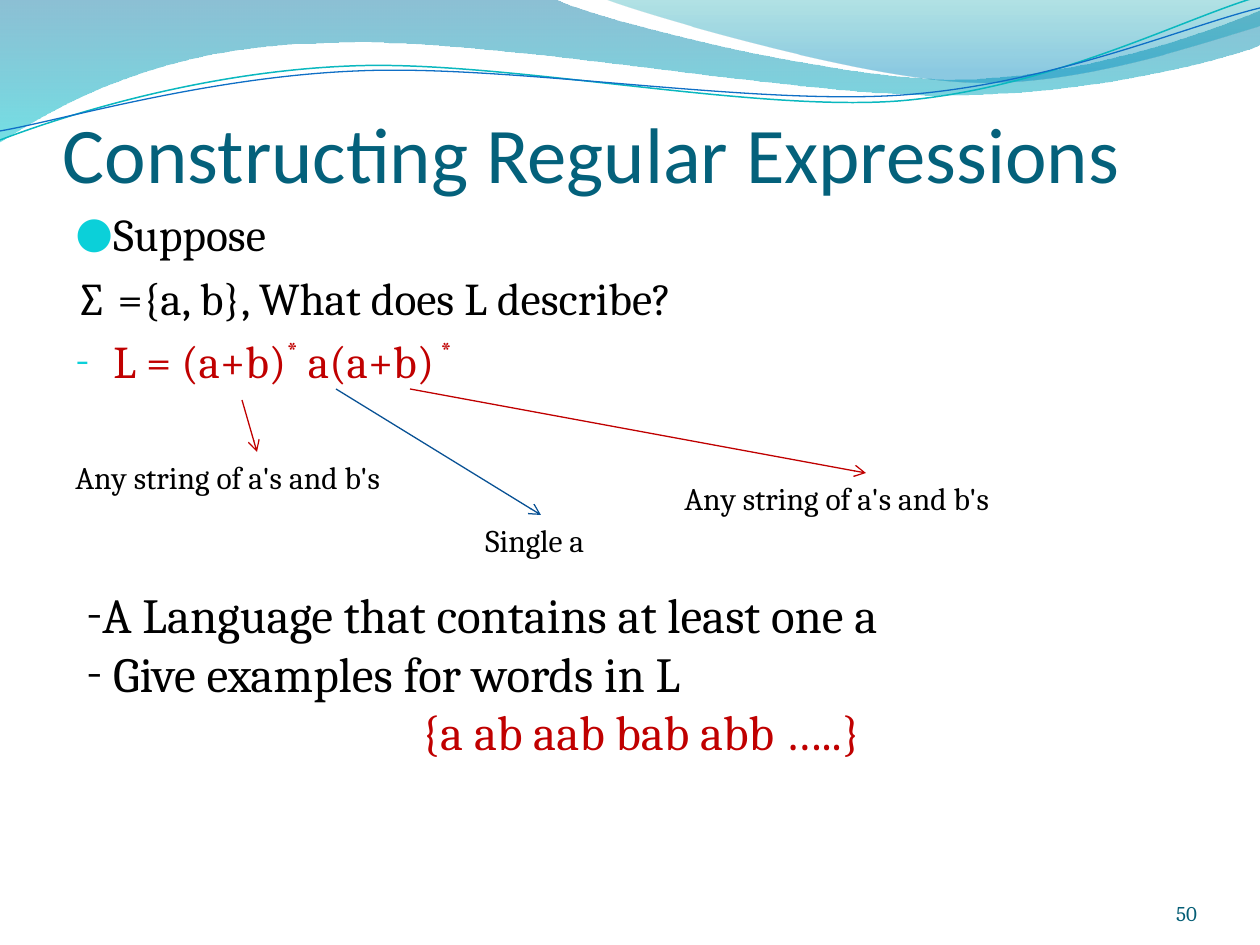
from dataclasses import dataclass

from lxml import etree
from pptx import Presentation
from pptx.dml.color import RGBColor
from pptx.enum.shapes import MSO_CONNECTOR
from pptx.enum.text import MSO_ANCHOR, PP_ALIGN
from pptx.oxml.ns import qn
from pptx.util import Pt

STRAIGHT = MSO_CONNECTOR.STRAIGHT
TOP, BOTTOM = MSO_ANCHOR.TOP, MSO_ANCHOR.BOTTOM
LEFT, CENTER, RIGHT = PP_ALIGN.LEFT, PP_ALIGN.CENTER, PP_ALIGN.RIGHT
SCALE = 914400 / 126
WIDTH, HEIGHT = 1260, 945
TOP_SIDE = 0


@dataclass(frozen=True)
class Theme:
    heading_font: str = "Calibri"
    body_font: str = "Cambria"
    heading: str = "04617B"
    ink: str = "000000"
    accent: str = "C00000"
    bullet: str = "0BD0D9"
    number: str = "045D75"
    single_arrow: str = "095295"
    teal_line: str = "0AB8BF"
    blue_line: str = "0F6FC6"
    wave: tuple = ((0, "0074A1", 45), (1, "00C6CF", 55))
    crest: tuple = ((0, "00A1A9", 30), (0.8, "008BBF", 45))
    title_size: int = 45
    body_size: int = 26
    label_size: int = 18
    answer_size: int = 28
    number_size: int = 12


THEME = Theme()


def px(value):
    return round(value * SCALE)


def rgb(value):
    return RGBColor.from_string(value)


def add_bullet(paragraph, char, color=None, percent=None):
    properties = paragraph._p.get_or_add_pPr()
    if color:
        holder = etree.SubElement(properties, qn("a:buClr"))
        etree.SubElement(holder, qn("a:srgbClr"), val=color)
    if percent:
        etree.SubElement(properties, qn("a:buSzPct"), val=str(percent * 1000))
    etree.SubElement(properties, qn("a:buFont"), typeface=THEME.body_font)
    etree.SubElement(properties, qn("a:buChar"), char=char)


def write(paragraph, text, size, color=THEME.ink, font=THEME.body_font, raised=0):
    run = paragraph.add_run()
    run.text = text
    run.font.size = Pt(size)
    run.font.name = font
    run.font.color.rgb = rgb(color)
    if raised:
        run._r.get_or_add_rPr().set("baseline", str(raised * 1000))


def add_frame(slide, box, anchor=TOP, insets=None):
    holder = slide.shapes.add_textbox(*map(px, box))
    frame = holder.text_frame
    frame.word_wrap = True
    frame.vertical_anchor = anchor
    if insets:
        (frame.margin_left, frame.margin_top,
         frame.margin_right, frame.margin_bottom) = map(px, insets)
    return holder


def next_paragraph(frame, is_first, align=LEFT):
    paragraph = frame.paragraphs[0] if is_first else frame.add_paragraph()
    paragraph.alignment = align
    return paragraph


def bend(outline, segments):
    steps = iter(list(outline._element.iter(qn("a:lnTo"))))
    for segment in segments:
        parts = [next(steps) for _ in segment]
        if len(parts) == 3:
            curve = etree.Element(qn("a:cubicBezTo"))
            parts[0].addprevious(curve)
            for part in parts:
                curve.append(part[0])
                part.getparent().remove(part)


def add_outline(slide, origin, start, segments, closed):
    points = [start] + [point for segment in segments for point in segment]
    points = [(px(origin[0] + x), px(origin[1] + y)) for x, y in points]
    builder = slide.shapes.build_freeform(*points[0])
    builder.add_line_segments(points[1:], close=closed)
    outline = builder.convert_to_shape()
    outline.shadow.inherit = False
    bend(outline, segments)
    return outline


def add_wave_fill(slide, origin, start, segments, stops):
    wave = add_outline(slide, origin, start, segments, True)
    wave.line.fill.background()
    wave.fill.gradient()
    wave.fill.gradient_angle = 270
    for stop, (position, color, _) in zip(wave.fill.gradient_stops, stops):
        stop.position = position
        stop.color.rgb = rgb(color)
    for tint, (_, _, opacity) in zip(wave._element.spPr.iter(qn("a:srgbClr")), stops):
        etree.SubElement(tint, qn("a:alpha"), val=str(opacity * 1000))


def add_wave_line(slide, origin, start, segments, color, width):
    wave = add_outline(slide, origin, start, segments, False)
    wave.fill.background()
    wave.line.color.rgb = rgb(color)
    wave.line.width = Pt(width)


def add_waves(slide, box):
    origin = box[:2]
    add_wave_fill(slide, origin, (0, 0), [
        [(554, -1)],
        [(600, 21), (837, 79), (955, 79)], [(1074, 79), (1207, 33), (1260, 11)],
        [(1261, 45)],
        [(1239, 55), (1096, 96), (940, 95)], [(784, 95), (481, 35), (324, 43)],
        [(163, 45), (58, 105), (-1, 142)]], THEME.wave)
    add_wave_fill(slide, origin, (604, -1), [
        [(641, 14), (859, 78), (969, 82)], [(1079, 87), (1211, 40), (1260, 26)],
        [(1260, 0)]], THEME.crest)
    add_wave_line(slide, origin, (0, 140), [
        [(60, 117), (199, 72), (349, 66)], [(498, 59), (747, 112), (898, 101)],
        [(1049, 89), (1182, 19), (1257, -3)]], THEME.teal_line, 0.85)
    add_wave_line(slide, origin, (0, 131), [
        [(59, 121), (207, 77), (357, 71)], [(508, 64), (752, 106), (903, 95)],
        [(1053, 84), (1186, 26), (1260, 8)]], THEME.blue_line, 0.75)


def add_title(slide, box):
    frame = add_frame(slide, box, BOTTOM, (0, 6, 0, 0)).text_frame
    write(frame.paragraphs[0], "Constructing Regular Expressions",
          THEME.title_size, THEME.heading, THEME.heading_font)


def add_question(slide, box):
    frame = add_frame(slide, box).text_frame
    lines = [
        ("●", THEME.ink, [("Suppose", 0)]),
        (None, THEME.ink, [("∑ ={a, b}, What does L describe?", 0)]),
        ("-", THEME.accent, [("L = (a+b)", 0), ("*", 40), (" a(a+b)", 0), (" *", 40)]),
    ]
    for index, (bullet, color, pieces) in enumerate(lines):
        paragraph = next_paragraph(frame, index == 0)
        paragraph.space_before = Pt(THEME.body_size * 0.2)
        properties = paragraph._p.get_or_add_pPr()
        properties.set("marL", str(px(38)))
        properties.set("indent", str(px(-38)))
        if bullet:
            add_bullet(paragraph, bullet, THEME.bullet, 95)
        for text, raised in pieces:
            write(paragraph, text, THEME.body_size, color, raised=raised)


def add_arrow(slide, start, label, color):
    arrow = slide.shapes.add_connector(STRAIGHT, *map(px, start), *map(px, start))
    arrow.end_connect(label, TOP_SIDE)
    arrow.line.color.rgb = rgb(color)
    arrow.line.width = Pt(0.75)
    etree.SubElement(arrow.line._get_or_add_ln(), qn("a:tailEnd"), type="arrow")
    etree.SubElement(arrow._element.spPr, qn("a:effectLst"))


def add_explanations(slide, box):
    left, top = box[:2]
    repeated = "Any string of a's and b's"
    for text, x, y, width, start_x, start_y, color in (
            (repeated, 0, 63, 388, 179, 11, THEME.accent),
            ("Single a", 410, 126, 136, 273, 0, THEME.single_arrow),
            (repeated, 609, 84, 388, 347, 0, THEME.accent)):
        label = add_frame(slide, (left + x, top + y, width, 50))
        write(label.text_frame.paragraphs[0], text, THEME.label_size)
        add_arrow(slide, (left + start_x, top + start_y), label, color)


def add_answer(slide, box):
    frame = add_frame(slide, box).text_frame
    for index, (text, bullet, align, color) in enumerate((
            ("A Language that contains at least one a", "-", LEFT, THEME.ink),
            (" Give examples for words in L", "-", LEFT, THEME.ink),
            ("{a ab aab bab abb …..}", None, CENTER, THEME.accent))):
        paragraph = next_paragraph(frame, index == 0, align)
        if bullet:
            add_bullet(paragraph, bullet)
        write(paragraph, text, THEME.answer_size, color)


def add_number(slide, box):
    frame = add_frame(slide, box, BOTTOM, (0, 0, 0, 0)).text_frame
    write(next_paragraph(frame, True, RIGHT), "50", THEME.number_size, THEME.number)


def main():
    deck = Presentation()
    deck.slide_width, deck.slide_height = px(WIDTH), px(HEIGHT)
    slide = deck.slides.add_slide(deck.slide_layouts[6])
    add_waves(slide, (0, 0, WIDTH, 142))
    add_title(slide, (63, 97, 1134, 102))
    add_question(slide, (63, 200, 1134, 305))
    add_number(slide, (1092, 876, 105, 50))
    add_explanations(slide, (63, 389, 997, 176))
    add_answer(slide, (74, 578, 1134, 210))
    deck.save("out.pptx")


if __name__ == "__main__":
    main()
